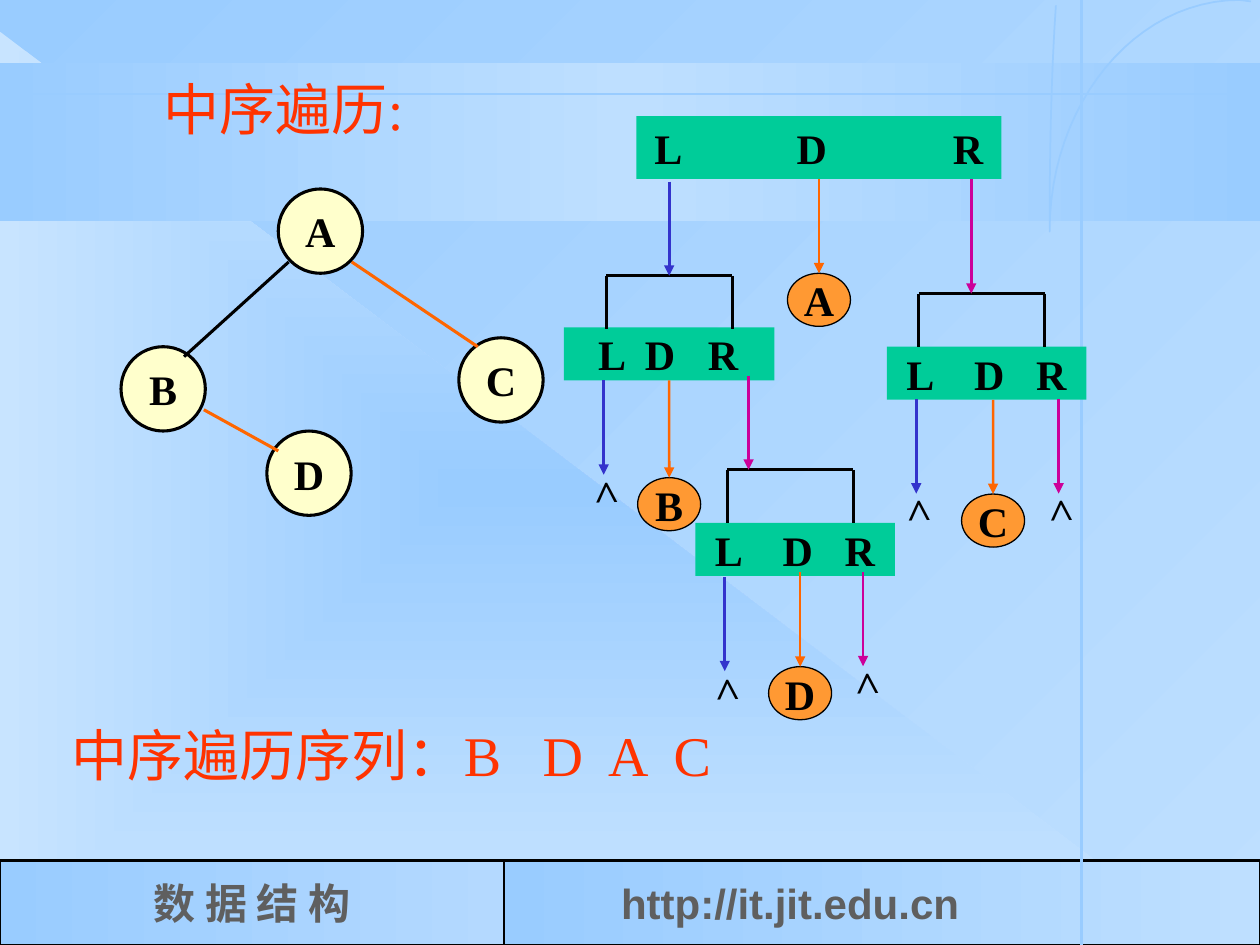
from lxml import etree
from pptx import Presentation
from pptx.dml.color import RGBColor
from pptx.enum.shapes import MSO_CONNECTOR, MSO_SHAPE
from pptx.enum.text import MSO_ANCHOR, PP_ALIGN
from pptx.oxml.ns import qn
from pptx.util import Cm, Pt

RECT, OVAL, TRIANGLE = MSO_SHAPE.RECTANGLE, MSO_SHAPE.OVAL, MSO_SHAPE.RIGHT_TRIANGLE
STRAIGHT = MSO_CONNECTOR.STRAIGHT
TOP, MIDDLE = MSO_ANCHOR.TOP, MSO_ANCHOR.MIDDLE
LEFT, CENTER = PP_ALIGN.LEFT, PP_ALIGN.CENTER

BLACK = RGBColor(0x00, 0x00, 0x00)
GRAY = RGBColor(0x5F, 0x5F, 0x5F)
RED = RGBColor(0xFF, 0x33, 0x00)
SKY = RGBColor(0x99, 0xCC, 0xFF)
PALE = RGBColor(0xBE, 0xDF, 0xFF)
SOFT = RGBColor(0xB4, 0xD9, 0xFF)
MIST = RGBColor(0xC8, 0xE4, 0xFF)
CREAM = RGBColor(0xFF, 0xFF, 0xCC)
AMBER = RGBColor(0xFF, 0x99, 0x33)
GREEN = RGBColor(0x00, 0xCC, 0x99)
BLUE = RGBColor(0x33, 0x33, 0xCC)
ORANGE = RGBColor(0xFF, 0x66, 0x00)
MAGENTA = RGBColor(0xCC, 0x00, 0x99)

LABEL = {"size": Pt(24), "bold": True, "name": "Times New Roman"}
ADDRESS = {**LABEL, "name": "Arial"}
HEADING = {"size": Pt(32), "bold": False, "name": "Times New Roman"}
STEP = 1.9


class TraversalSlide:
    """Draws the elements of a tree traversal on one slide."""

    def __init__(self, slide):
        self.slide = slide
        self.shapes = slide.shapes

    def gradient(self, fill, element, colors, angle=None):
        fill.gradient()
        grad = element.xpath(".//a:gradFill")[0]
        for child in list(grad):
            grad.remove(child)
        stops = etree.SubElement(grad, qn("a:gsLst"))
        for index, color in enumerate(colors):
            position = str(100000 * index // (len(colors) - 1))
            stop = etree.SubElement(stops, qn("a:gs"), pos=position)
            etree.SubElement(stop, qn("a:srgbClr"), val=str(color))
        if angle is None:
            center = etree.SubElement(grad, qn("a:path"), {"path": "rect"})
            sides = dict.fromkeys("ltrb", "50000")
            etree.SubElement(center, qn("a:fillToRect"), sides)
        else:
            etree.SubElement(grad, qn("a:lin"), ang=str(angle * 60000), scaled="0")

    def shape(self, kind, box, fill, line_width=0, angle=None):
        shape = self.shapes.add_shape(kind, *map(Cm, box))
        shape.shadow.inherit = False
        if isinstance(fill, list):
            self.gradient(shape.fill, shape._element, fill, angle)
        else:
            shape.fill.solid()
            shape.fill.fore_color.rgb = fill
        if line_width:
            shape.line.color.rgb = BLACK
            shape.line.width = Pt(line_width)
        else:
            shape.line.fill.background()
        return shape

    def caption(self, shape, text, style=LABEL, color=BLACK, align=CENTER,
                anchor=MIDDLE, wrap=False, inset=0.25, tabs=()):
        frame = shape.text_frame
        layout = {"word_wrap": wrap, "vertical_anchor": anchor,
                  "margin_left": Cm(inset), "margin_right": Cm(0.25),
                  "margin_top": Cm(0.13), "margin_bottom": Cm(0.13)}
        for key, value in layout.items():
            setattr(frame, key, value)
        paragraph = frame.paragraphs[0]
        paragraph.text = text
        paragraph.alignment = align
        if tabs:
            stops = etree.SubElement(paragraph._p.get_or_add_pPr(), qn("a:tabLst"))
            for position in tabs:
                etree.SubElement(stops, qn("a:tab"), pos=str(Cm(position)), algn="l")
        for key, value in style.items():
            setattr(paragraph.font, key, value)
        paragraph.font.color.rgb = color

    def text(self, box, text, style=LABEL, color=BLACK, tabs=(), rotation=0):
        label = self.shapes.add_textbox(*map(Cm, box))
        label.rotation = rotation
        self.caption(label, text, style, color, LEFT, TOP, True, tabs=tabs)

    def node(self, letter, box, fill, line_width):
        node = self.shape(OVAL, box, fill, line_width)
        self.caption(node, letter)
        return node

    def call(self, box, inset, tabs):
        call = self.shape(RECT, box, GREEN)
        self.caption(call, "L\tD\tR", align=LEFT, wrap=True, inset=inset, tabs=tabs)
        return call

    def line(self, start, end, color=BLACK, width=1.5, arrow=False):
        line = self.shapes.add_connector(STRAIGHT, *map(Cm, (*start, *end)))
        line.line.color.rgb = color
        line.line.width = Pt(width)
        if arrow:
            etree.SubElement(line.line._get_or_add_ln(), qn("a:tailEnd"), type="triangle")
        etree.SubElement(line._element.spPr, qn("a:effectLst"))
        return line

    def arrow(self, x, y, color, length=STEP):
        return self.line((x, y), (x, y + length), color, arrow=True)

    def bracket(self, x, y, width=2.54, drop=1.07):
        self.line((x, y), (x + width, y))
        for side in (x, x + width):
            self.line((side, y), (side, y + drop))

    def curve(self, points, color):
        builder = self.shapes.build_freeform(*map(Cm, points[0]))
        builder.add_line_segments([tuple(map(Cm, p)) for p in points[1:]], close=False)
        curve = builder.convert_to_shape()
        curve.shadow.inherit = False
        curve.fill.background()
        curve.line.color.rgb = color
        curve.line.width = Pt(1)


def bezier(controls, end=1, steps=24):
    points = []
    for index in range(steps + 1):
        t = end * index / steps
        weights = ((1 - t) ** 3, 3 * t * (1 - t) ** 2, 3 * t * t * (1 - t), t ** 3)
        points.append(tuple(sum(w * c for w, c in zip(weights, axis))
                            for axis in zip(*controls)))
    return points


def draw_backdrop(page):
    page.gradient(page.slide.background.fill, page.slide._element, [SKY, PALE], 45)
    page.shape(TRIANGLE, (0, 0.64, 24.33, 18.41), [SKY, MIST])
    page.shape(RECT, (0, 1.27, 25.4, 3.18), [SKY, PALE, SKY], angle=0)
    course = page.shape(RECT, (0, 17.35, 10.16, 1.7), [SKY, SOFT], 1.5, 0)
    page.caption(course, "数 据 结 构", color=GRAY)
    site = page.shape(RECT, (10.16, 17.35, 15.24, 1.7), [SKY, PALE], 1.5, 0)
    page.caption(site, "http://it.jit.edu.cn", ADDRESS, GRAY, LEFT, wrap=True, inset=2.36)
    page.line((0, 1.9), (25.4, 1.9), SKY, 1)
    page.line((21.8, 0), (21.8, 19.05), SKY, 1.5)
    arc = bezier([(24.99, 0), (22.89, 0), (21.16, 2.08), (21.16, 4.67)])
    rise = bezier([(21.16, 4.67), (21.16, -6.88), (22.89, -4.8), (24.99, -4.8)], 0.16)
    page.curve([(25.22, 0.03)] + arc + rise[1:], SKY)


def draw_tree(page):
    for letter, x, y in (("A", 5.61, 3.81), ("D", 5.38, 8.69),
                         ("B", 2.44, 6.99), ("C", 9.25, 6.81)):
        page.node(letter, (x, y, 1.7, 1.7), CREAM, 1.75)
    for start, end, color in (((5.82, 5.28), (3.71, 7.19), BLACK),
                              ((7.09, 5.28), (9.63, 6.99), ORANGE),
                              ((4.11, 8.26), (5.61, 9.09), ORANGE)):
        page.line(start, end, color, 1.75)


def draw_calls(page):
    root = page.call((12.83, 2.34, 7.36, 1.27), 0.36, (2.87, 6.02))
    left = page.call((11.37, 6.6, 4.24, 1.07), 0.69, (0.94, 2.21))
    for x, y in ((14.02, 10.54), (17.88, 6.99)):
        page.call((x, y, 4.02, 1.07), 0.39, (1.37, 2.62))
    for x, y in ((12.22, 5.56), (14.66, 9.47), (18.52, 5.92)):
        page.bracket(x, y)
    for x, y in ((13.49, 3.66), (12.17, 7.67), (14.61, 11.63), (18.47, 8.05)):
        page.arrow(x, y, BLUE)
    for x, y, length in ((19.58, 3.61, 2.31), (15.09, 7.57, STEP),
                         (17.4, 11.53, STEP), (21.34, 8.05, STEP)):
        page.arrow(x, y, MAGENTA, length)
    for letter, x, y, caller in (("A", 16.51, 5.51, root), ("B", 13.49, 9.63, left),
                                 ("D", 16.13, 13.44, None), ("C", 20.02, 9.96, None)):
        visit = page.node(letter, (x - 1.27 / 2, y, 1.27, 1.07), AMBER, 0.75)
        arrow = page.arrow(x, y - STEP, ORANGE)
        if caller:
            arrow.begin_connect(caller, 2)
        arrow.end_connect(visit, 0)
    for x, y in ((11.63, 9.25), (16.89, 13.11), (14.07, 13.23),
                 (20.8, 9.63), (17.93, 9.63)):
        page.text((x, y, 1.07, 1.27), ">", rotation=268.3)


def main():
    deck = Presentation()
    deck.slide_width, deck.slide_height = Cm(25.4), Cm(19.05)
    page = TraversalSlide(deck.slides.add_slide(deck.slide_layouts[6]))
    draw_backdrop(page)
    draw_tree(page)
    draw_calls(page)
    page.text((1.19, 14.4, 13.51, 1.63), "中序遍历序列：B\tD\tA\tC", HEADING, RED,
              (9.5, 10.82, 12.14))
    page.text((3.05, 1.37, 5.61, 1.63), "中序遍历:", HEADING, RED)
    deck.save("out.pptx")


if __name__ == "__main__":
    main()
